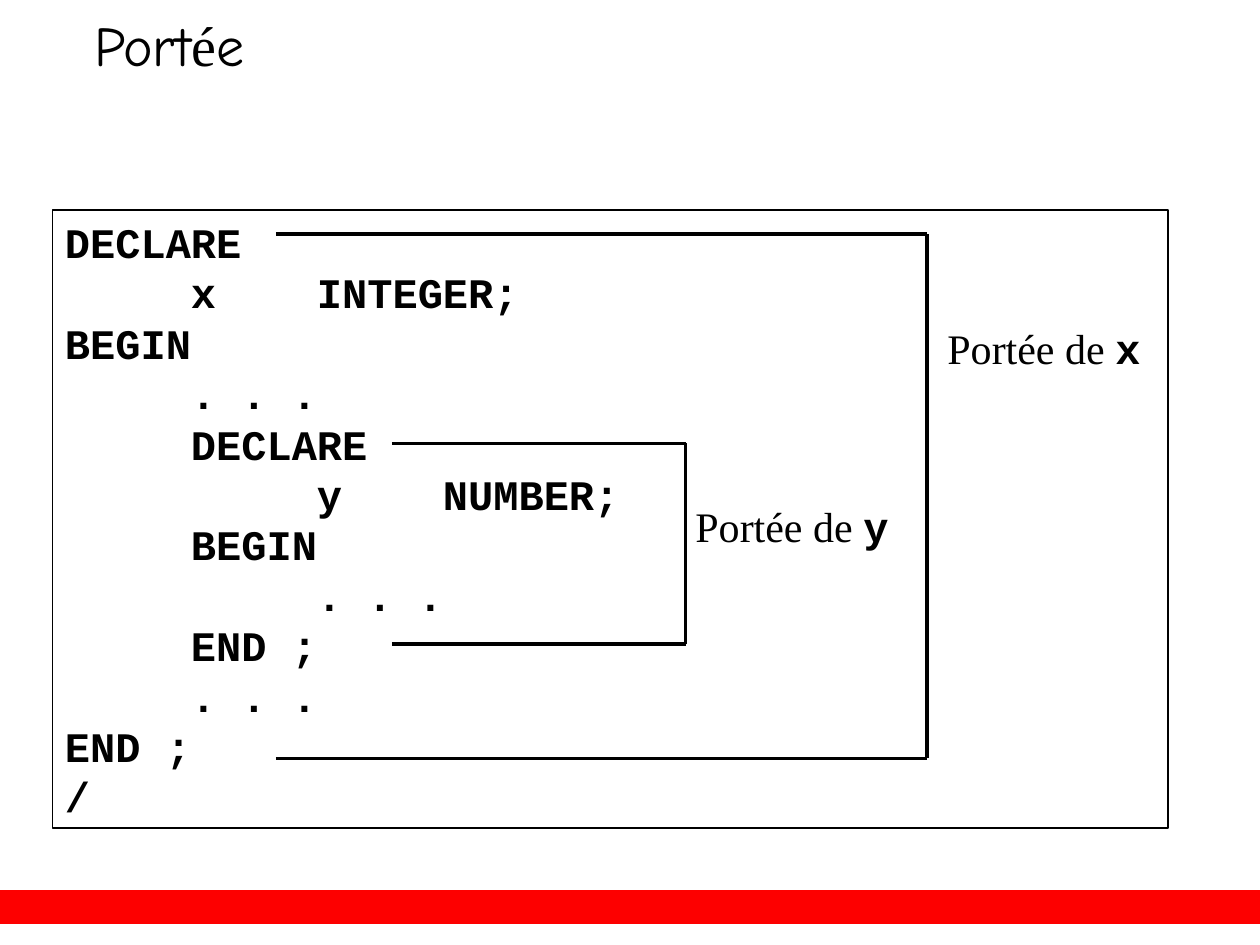
from lxml import etree
from pptx import Presentation
from pptx.dml.color import RGBColor
from pptx.enum import shapes, text
from pptx.oxml.ns import qn
from pptx.util import Cm, Pt

BLACK = RGBColor(0, 0, 0)
RED = RGBColor(0xFD, 0, 0)
SERIF, MONO, HAND = "Times New Roman", "Courier New", "Comic Neue"
CODE = [
    "DECLARE",
    "\tx\tINTEGER;",
    "BEGIN",
    "\t. . .",
    "\tDECLARE",
    "\t\ty\tNUMBER;",
    "\tBEGIN",
    "\t\t. . .",
    "\tEND ;",
    "\t. . .",
    "END ;",
    "/",
]


def add_tabs(paragraph, step=Cm(2.54), count=8):
    tabs = etree.SubElement(paragraph._p.get_or_add_pPr(), qn("a:tabLst"))
    for i in range(count):
        etree.SubElement(tabs, qn("a:tab"), pos=str(i * step), algn="l")


def add_runs(paragraph, pieces, size):
    for wording, face, bold in pieces:
        run = paragraph.add_run()
        run.text = wording
        run.font.name = face
        run.font.size = Pt(size)
        run.font.bold = bold
        run.font.color.rgb = BLACK


def add_box(slide, left, top, width, height, fill=None, line=BLACK):
    box = slide.shapes.add_shape(shapes.MSO_SHAPE.RECTANGLE,
                                 Cm(left), Cm(top), Cm(width), Cm(height))
    box.shadow.inherit = False
    if fill is None:
        box.fill.background()
    else:
        box.fill.solid()
        box.fill.fore_color.rgb = fill
    box.line.color.rgb = line
    box.line.width = Pt(1)
    return box


def add_title(slide):
    frame = slide.shapes.add_textbox(Cm(1.9), Cm(0.43), Cm(20.75), Cm(1.47)).text_frame
    frame.word_wrap = True
    frame.margin_left = frame.margin_top = frame.margin_right = frame.margin_bottom = 0
    title = frame.paragraphs[0]
    title.line_spacing = 0.85
    add_runs(title, [("Port", HAND, False), ("é", SERIF, False), ("e", HAND, False)], 32)


def add_code(slide):
    frame = add_box(slide, 1.06, 4.24, 22.48, 12.45).text_frame
    frame.vertical_anchor = text.MSO_ANCHOR.TOP
    frame.word_wrap = True
    for i, statement in enumerate(CODE):
        line = frame.paragraphs[0] if i == 0 else frame.add_paragraph()
        line.alignment = text.PP_ALIGN.LEFT
        line.line_spacing = Pt(28.8)
        add_tabs(line)
        add_runs(line, [(statement, MONO, True)], 24)


def add_line(slide, x1, y1, x2, y2):
    line = slide.shapes.add_connector(shapes.MSO_CONNECTOR.STRAIGHT,
                                      Cm(x1), Cm(y1), Cm(x2), Cm(y2))
    line.line.color.rgb = BLACK
    line.line.width = Pt(2)
    etree.SubElement(line._element.spPr, qn("a:effectLst"))


def add_bracket(slide, left, top, right, bottom):
    add_line(slide, left, top, right, top)
    add_line(slide, left, bottom, right, bottom)
    add_line(slide, right, top, right, bottom)


def add_scope_label(slide, left, top, variable):
    frame = slide.shapes.add_textbox(Cm(left), Cm(top), Cm(4.42), Cm(1.27)).text_frame
    frame.word_wrap = False
    add_runs(frame.paragraphs[0],
             [("Portée de ", SERIF, False), (variable, MONO, True)], 24)


def main():
    deck = Presentation()
    deck.slide_width, deck.slide_height = Cm(25.4), Cm(19.05)
    slide = deck.slides.add_slide(deck.slide_layouts[6])
    add_box(slide, 0, 17.96, 25.4, 0.66, RED, RED)
    add_title(slide)
    add_code(slide)
    add_bracket(slide, 5.56, 4.72, 18.69, 15.29)
    add_bracket(slide, 7.9, 8.94, 13.82, 12.98)
    add_scope_label(slide, 18.85, 6.38, "x")
    add_scope_label(slide, 13.77, 9.96, "y")
    deck.save("out.pptx")


if __name__ == "__main__":
    main()
